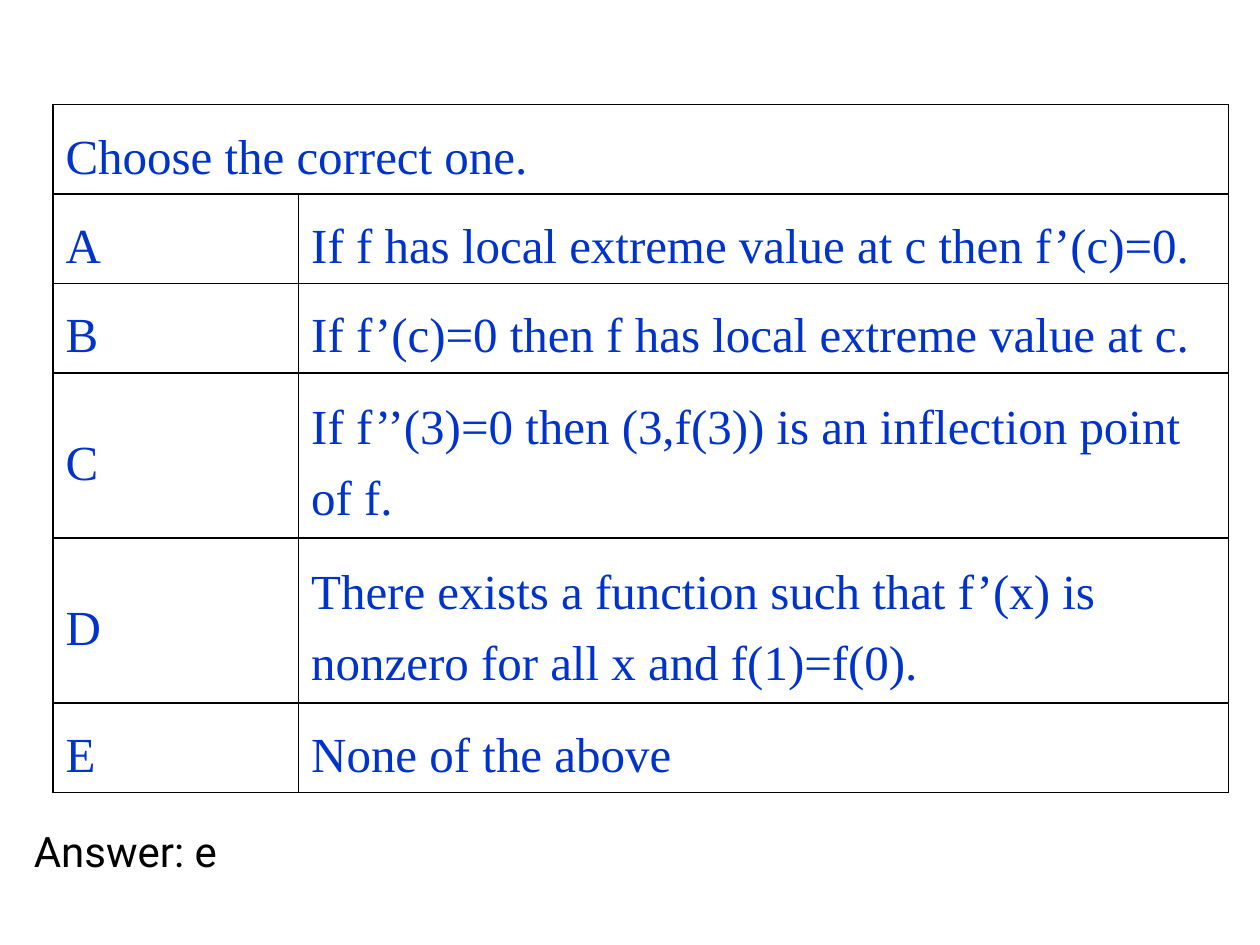
from lxml.etree import SubElement
from pptx import Presentation
from pptx.dml.color import RGBColor
from pptx.enum.text import MSO_ANCHOR, MSO_AUTO_SIZE
from pptx.oxml.ns import qn
from pptx.util import Inches, Pt

COLORS = {"choice": "0033CC", "answer": "000000", "border": "000000"}
QUESTION = "Choose the correct one."
CHOICES = [
    ("A", "If f has local extreme value at c then f’(c)=0."),
    ("B", "If f’(c)=0 then f has local extreme value at c."),
    ("C", "If f’’(3)=0 then (3,f(3)) is an inflection point of f."),
    ("D", "There exists a function such that f’(x) is nonzero for all x and f(1)=f(0)."),
    ("E", "None of the above"),
]
COLUMN_WIDTHS = [1.95, 7.38]
ONE_LINE, TWO_LINES = 0.71, 1.31
ROW_HEIGHTS = [ONE_LINE] * 3 + [TWO_LINES] * 2 + [ONE_LINE]


def style_font(p, name, size, color):
    for r in p.runs:
        r.font.name = name
        r.font.size = Pt(size)
        r.font.color.rgb = RGBColor.from_string(COLORS[color])


def add_borders(cell):
    """Draw all four borders; they must precede the fill in the cell XML."""
    tc_pr = cell._tc.get_or_add_tcPr()
    for side in ("lnL", "lnR", "lnT", "lnB"):
        ln = SubElement(tc_pr, qn(f"a:{side}"), w=str(Pt(1)))
        fill = SubElement(ln, qn("a:solidFill"))
        SubElement(fill, qn("a:srgbClr"), val=COLORS["border"])


def fill_cell(cell, text):
    cell.text = text
    cell.vertical_anchor = MSO_ANCHOR.MIDDLE
    p = cell.text_frame.paragraphs[0]
    p.line_spacing = 1.3
    style_font(p, "Times New Roman", 28, "choice")


def add_question_table(slide):
    rows = [(QUESTION, "")] + CHOICES
    frame = slide.shapes.add_table(
        len(rows), len(COLUMN_WIDTHS), Inches(0.42), Inches(0.83),
        Inches(sum(COLUMN_WIDTHS)), Inches(sum(ROW_HEIGHTS)))
    table = frame.table
    table.first_row = table.horz_banding = False
    for column, width in zip(table.columns, COLUMN_WIDTHS):
        column.width = Inches(width)
    for row, height, texts in zip(table.rows, ROW_HEIGHTS, rows):
        row.height = Inches(height)
        for cell, text in zip(row.cells, texts):
            add_borders(cell)
            cell.fill.background()
            if text:
                fill_cell(cell, text)
    table.cell(0, 0).merge(table.cell(0, 1))


def add_answer(slide):
    box = slide.shapes.add_textbox(
        Inches(0.17), Inches(6.5), Inches(1.71), Inches(0.51))
    tf = box.text_frame
    tf.text = "Answer: e"
    tf.word_wrap = False
    tf.auto_size = MSO_AUTO_SIZE.SHAPE_TO_FIT_TEXT
    style_font(tf.paragraphs[0], "Roboto", 24, "answer")


def main():
    prs = Presentation()
    prs.slide_width, prs.slide_height = Inches(10), Inches(7.5)
    slide = prs.slides.add_slide(prs.slide_layouts[6])
    add_question_table(slide)
    add_answer(slide)
    prs.save("out.pptx")


if __name__ == "__main__":
    main()
